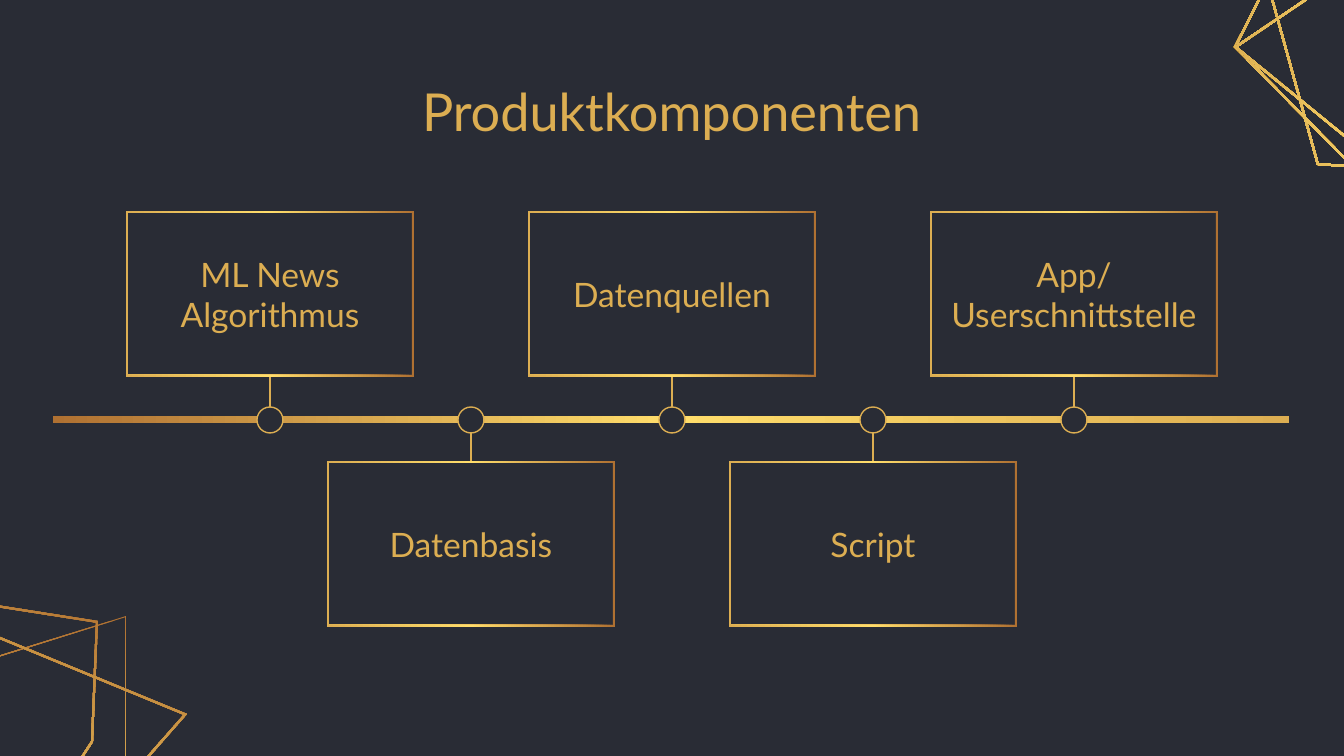
import math

from lxml import etree
from pptx import Presentation
from pptx import util as u
from pptx.dml.color import RGBColor
from pptx.enum import shapes, text
from pptx.oxml.ns import qn

PX = 6804  # EMU in one px
CENTER, STEP = 672, 201
FRAME_WIDTH, FRAME_HEIGHT = 288, 166
UPPER_TOP, LOWER_TOP = 211, 461
AXIS_Y, NODE_RADIUS = 420, 13
LABELS = ["ML News Algorithmus", "Datenbasis", "Datenquellen", "Script",
          "App/ Userschnittstelle"]

# Corner ornaments: clockwise vertices, gradient angle, thickness
ORNAMENTS = [
    ([(-206, 1208), (-438, 792), (126, 616), (126, 864)], 90, 1),
    ([(1255, -59), (1400, -130), (1582, 30), (1625, 149), (1554, 183), (1317, 165)], 175, 2),
    ([(1234, 47), (1288, -60), (1614, 28), (1636, 230), (1349, 164)], 175, 2),
    ([(1234, 47), (1490, -126), (1636, 230), (1474, 243)], 175, 2),
    ([(-450, 965), (-439, 716), (-93, 591), (98, 621), (93, 742), (-105, 1046)], 114, 2),
    ([(-351, 1118), (-454, 969), (-97, 597), (187, 714), (-109, 1050)], 114, 2),
]


def px(value):
    return u.Emu(round(value * PX))


def color(value):
    return RGBColor.from_string(value)


def inset(points, thickness):
    """Move the edges of a clockwise convex polygon inward."""
    normals = []
    for (x1, y1), (x2, y2) in zip(points, points[1:] + points[:1]):
        length = math.hypot(x2 - x1, y2 - y1)
        normals.append(((y1 - y2) / length, (x2 - x1) / length))
    inner = []
    for i, (x, y) in enumerate(points):
        (ax, ay), (bx, by) = normals[i - 1], normals[i]
        reach = thickness / (1 + ax * bx + ay * by)
        inner.append((x + reach * (ax + bx), y + reach * (ay + by)))
    return inner


class Canvas:
    background = "292C35"
    gold = "DCAE52"
    stops = ((0, "AF7132"), (50, "FFDD6B"), (100, "DCAE52"))
    font = "Lato"

    def __init__(self, page):
        self.page = page
        fill = page.background.fill
        fill.solid()
        fill.fore_color.rgb = color(self.background)

    def paint_gradient(self, shape, angle):
        shape.shadow.inherit = False
        shape.line.fill.background()
        shape.fill.gradient()
        gradient = shape._element.spPr.find(qn("a:gradFill"))
        for child in list(gradient):
            gradient.remove(child)
        stop_list = etree.SubElement(gradient, qn("a:gsLst"))
        for position, value in self.stops:
            stop = etree.SubElement(stop_list, qn("a:gs"), pos=str(position * 1000))
            etree.SubElement(stop, qn("a:srgbClr"), val=value)
        etree.SubElement(gradient, qn("a:lin"), ang=str(angle * 60000), scaled="0")

    def outline(self, points, angle, thickness=2):
        """Draw a hollow polygon whose rim carries the gradient."""
        outer, inner = [[(px(x), px(y)) for x, y in contour]
                        for contour in (points, inset(points, thickness)[::-1])]
        builder = self.page.shapes.build_freeform(*outer[0])
        builder.add_line_segments(outer[1:], close=True)
        builder.move_to(*inner[0])
        builder.add_line_segments(inner[1:], close=True)
        self.paint_gradient(builder.convert_to_shape(), angle)

    def frame(self, left, top, width, height):
        right, bottom = left + width, top + height
        self.outline([(left, top), (right, top), (right, bottom), (left, bottom)], 180)

    def bar(self, left, top, width, height):
        shape = self.page.shapes.add_shape(
            shapes.MSO_SHAPE.RECTANGLE, px(left), px(top), px(width), px(height))
        self.paint_gradient(shape, 0)

    def style_line(self, line):
        line.color.rgb = color(self.gold)
        line.width = u.Pt(0.75)

    def node(self, x, y, radius):
        shape = self.page.shapes.add_shape(
            shapes.MSO_SHAPE.OVAL, px(x - radius), px(y - radius),
            px(2 * radius), px(2 * radius))
        shape.shadow.inherit = False
        shape.fill.solid()
        shape.fill.fore_color.rgb = color(self.background)
        self.style_line(shape.line)

    def stem(self, x, top, bottom):
        connector = self.page.shapes.add_connector(
            shapes.MSO_CONNECTOR.STRAIGHT, px(x), px(top), px(x), px(bottom))
        self.style_line(connector.line)
        etree.SubElement(connector._element.spPr, qn("a:effectLst"))

    def set_words(self, box, words, size):
        frame = box.text_frame
        frame.text = words
        frame.word_wrap = True
        frame.auto_size = text.MSO_AUTO_SIZE.NONE
        frame.vertical_anchor = text.MSO_ANCHOR.MIDDLE
        frame.margin_left = frame.margin_right = u.Inches(0.1)
        frame.margin_top = frame.margin_bottom = u.Inches(0.1)
        para = frame.paragraphs[0]
        para.alignment = text.PP_ALIGN.CENTER
        span = para.runs[0]
        span.font.name = self.font
        span.font.size = u.Pt(size)
        span.font.color.rgb = color(self.gold)

    def title(self, words, left, top, width, height):
        box = self.page.shapes.title
        box.left, box.top, box.width, box.height = map(px, (left, top, width, height))
        self.set_words(box, words, 28)

    def label(self, words, left, top, width, height):
        box = self.page.shapes.add_textbox(px(left), px(top), px(width), px(height))
        self.set_words(box, words, 18)


def main():
    deck = Presentation()
    deck.slide_width, deck.slide_height = px(1344), px(756)
    canvas = Canvas(deck.slides.add_slide(deck.slide_layouts[5]))

    for points, angle, thickness in ORNAMENTS:
        canvas.outline(points, angle, thickness)
    canvas.title("Produktkomponenten", 293, 79, 757, 63)
    canvas.bar(53, 416, 1236, 7)

    for i, words in enumerate(LABELS):
        x = CENTER + (i - 2) * STEP
        above = i % 2 == 0
        top = UPPER_TOP if above else LOWER_TOP
        canvas.frame(x - FRAME_WIDTH // 2, top, FRAME_WIDTH, FRAME_HEIGHT)
        if above:
            canvas.stem(x, top + FRAME_HEIGHT, AXIS_Y - NODE_RADIUS)
        else:
            canvas.stem(x, AXIS_Y + NODE_RADIUS, top)
        canvas.node(x, AXIS_Y, NODE_RADIUS)
        canvas.label(words, x - 146, top + FRAME_HEIGHT // 2 - 26, 292, 52)

    deck.save("out.pptx")


if __name__ == "__main__":
    main()
